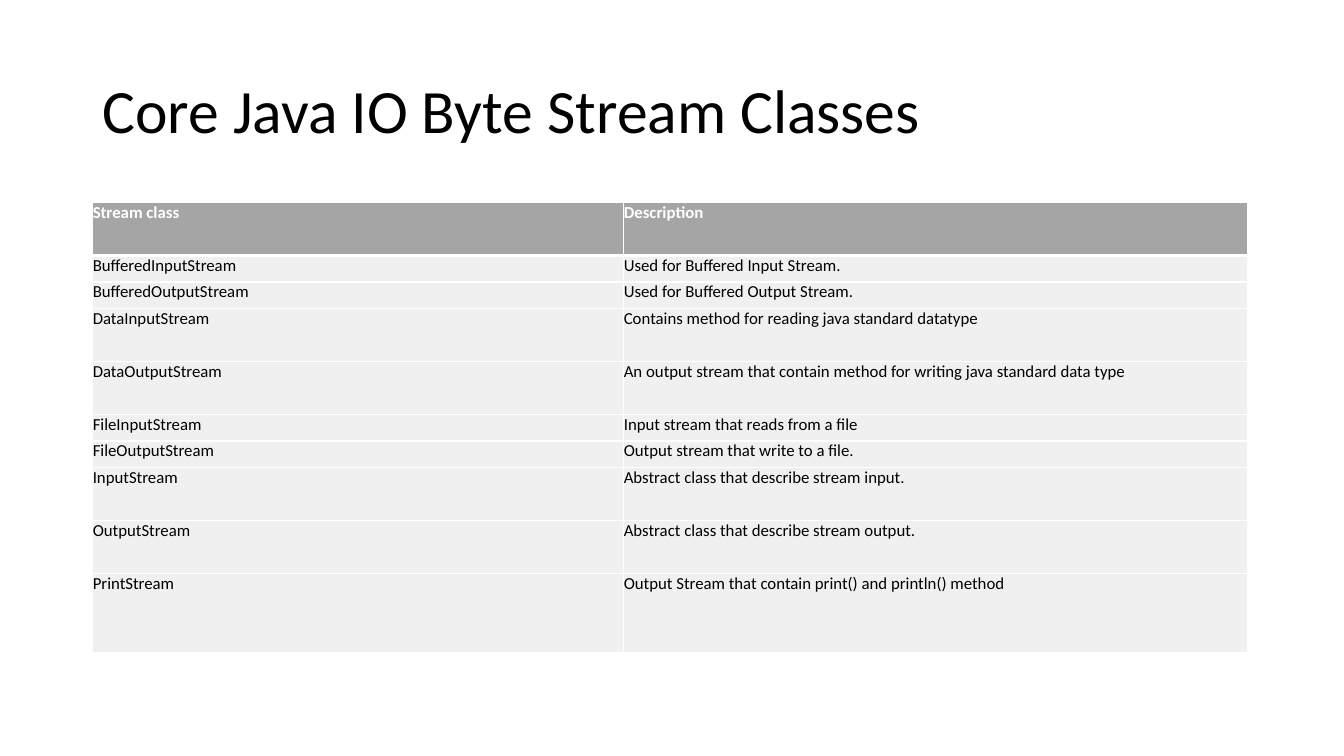
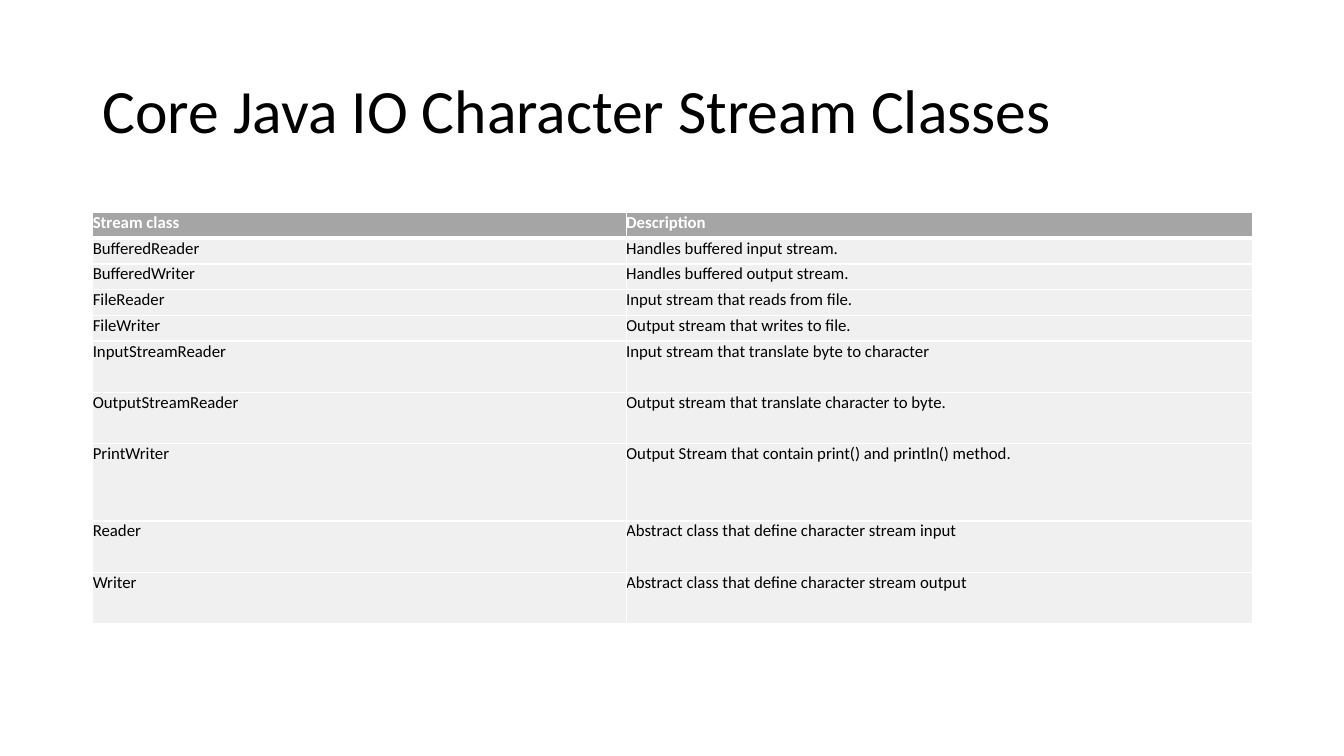
"""Build two slides that list the Java IO stream classes in tables."""
from lxml.etree import SubElement
from pptx import Presentation
from pptx.dml.color import RGBColor
from pptx.enum.text import MSO_ANCHOR
from pptx.oxml.ns import qn
from pptx.util import Inches, Pt

BLACK = RGBColor(0x00, 0x00, 0x00)
WHITE = RGBColor(0xFF, 0xFF, 0xFF)
HEADER_GRAY = RGBColor(0xA5, 0xA5, 0xA5)
BODY_GRAY = RGBColor(0xF0, 0xF0, 0xF0)
FONT = "Calibri"
LEFT = 0.92
CLASS_SHARE = 0.46
THIN, THICK = 1, 3
HEADINGS = ("Stream class", "Description")

BYTE_STREAMS = [
    ("BufferedInputStream", "Used for Buffered Input Stream.", 1),
    ("BufferedOutputStream", "Used for Buffered Output Stream.", 1),
    ("DataInputStream", "Contains method for reading java standard datatype", 2),
    ("DataOutputStream",
     "An output stream that contain method for writing java standard data type", 2),
    ("FileInputStream", "Input stream that reads from a file", 1),
    ("FileOutputStream", "Output stream that write to a file.", 1),
    ("InputStream", "Abstract class that describe stream input.", 2),
    ("OutputStream", "Abstract class that describe stream output.", 2),
    ("PrintStream", "Output Stream that contain print() and println() method", 3),
]
CHARACTER_STREAMS = [
    ("BufferedReader", "Handles buffered input stream.", 1),
    ("BufferedWriter", "Handles buffered output stream.", 1),
    ("FileReader", "Input stream that reads from file.", 1),
    ("FileWriter", "Output stream that writes to file.", 1),
    ("InputStreamReader", "Input stream that translate byte to character", 2),
    ("OutputStreamReader", "Output stream that translate character to byte.", 2),
    ("PrintWriter", "Output Stream that contain print() and println() method.", 3),
    ("Reader", "Abstract class that define character stream input", 2),
    ("Writer", "Abstract class that define character stream output", 2),
]


def style_text(paragraph, size, color, bold=False):
    font = paragraph.runs[0].font
    font.name, font.size, font.bold = FONT, Pt(size), bold
    font.color.rgb = color


def add_title(slide, text):
    title = slide.shapes.add_textbox(
        Inches(LEFT), Inches(0.4), Inches(11.5), Inches(1.45))
    frame = title.text_frame
    frame.word_wrap = True
    frame.vertical_anchor = MSO_ANCHOR.MIDDLE
    frame.text = text
    frame.paragraphs[0].line_spacing = 0.9
    style_text(frame.paragraphs[0], 44, BLACK)


def set_borders(cell, top, bottom):
    properties = cell._tc.get_or_add_tcPr()
    widths = {"a:lnL": THIN, "a:lnR": THIN, "a:lnT": top, "a:lnB": bottom}
    for side, width in widths.items():
        line = SubElement(properties, qn(side), w=str(Pt(width)))
        fill = SubElement(line, qn("a:solidFill"))
        SubElement(fill, qn("a:srgbClr"), val=str(WHITE))


def fill_cell(cell, text, row):
    is_header = row == 0
    cell.margin_left = cell.margin_right = cell.margin_top = cell.margin_bottom = 0
    set_borders(cell, THICK if row == 1 else THIN, THICK if is_header else THIN)
    cell.fill.solid()
    cell.fill.fore_color.rgb = HEADER_GRAY if is_header else BODY_GRAY
    cell.text = text
    style_text(cell.text_frame.paragraphs[0], 12,
               WHITE if is_header else BLACK, is_header)


def add_class_table(slide, streams, top, width, height, header_lines):
    entries = [(*HEADINGS, header_lines), *streams]
    line_height = height / sum(lines for *_, lines in entries)
    table = slide.shapes.add_table(
        len(entries), len(HEADINGS), Inches(LEFT), Inches(top),
        Inches(width), Inches(height)).table
    table.horz_banding = False
    for column, share in zip(table.columns, (CLASS_SHARE, 1 - CLASS_SHARE)):
        column.width = Inches(width * share)
    for row, (*texts, lines) in enumerate(entries):
        table.rows[row].height = Inches(line_height * lines)
        for column, text in enumerate(texts):
            fill_cell(table.cell(row, column), text, row)


def add_class_slide(deck, title, streams, **layout):
    slide = deck.slides.add_slide(deck.slide_layouts[6])
    add_title(slide, title)
    add_class_table(slide, streams, **layout)


def main():
    deck = Presentation()
    deck.slide_width, deck.slide_height = Inches(13.33), Inches(7.5)
    add_class_slide(deck, "Core Java IO Byte Stream Classes", BYTE_STREAMS,
                    top=2.01, width=11.45, height=4.47, header_lines=2)
    add_class_slide(deck, "Core Java IO Character Stream Classes", CHARACTER_STREAMS,
                    top=2.11, width=11.5, height=4.08, header_lines=1)
    deck.save("out.pptx")


if __name__ == "__main__":
    main()
